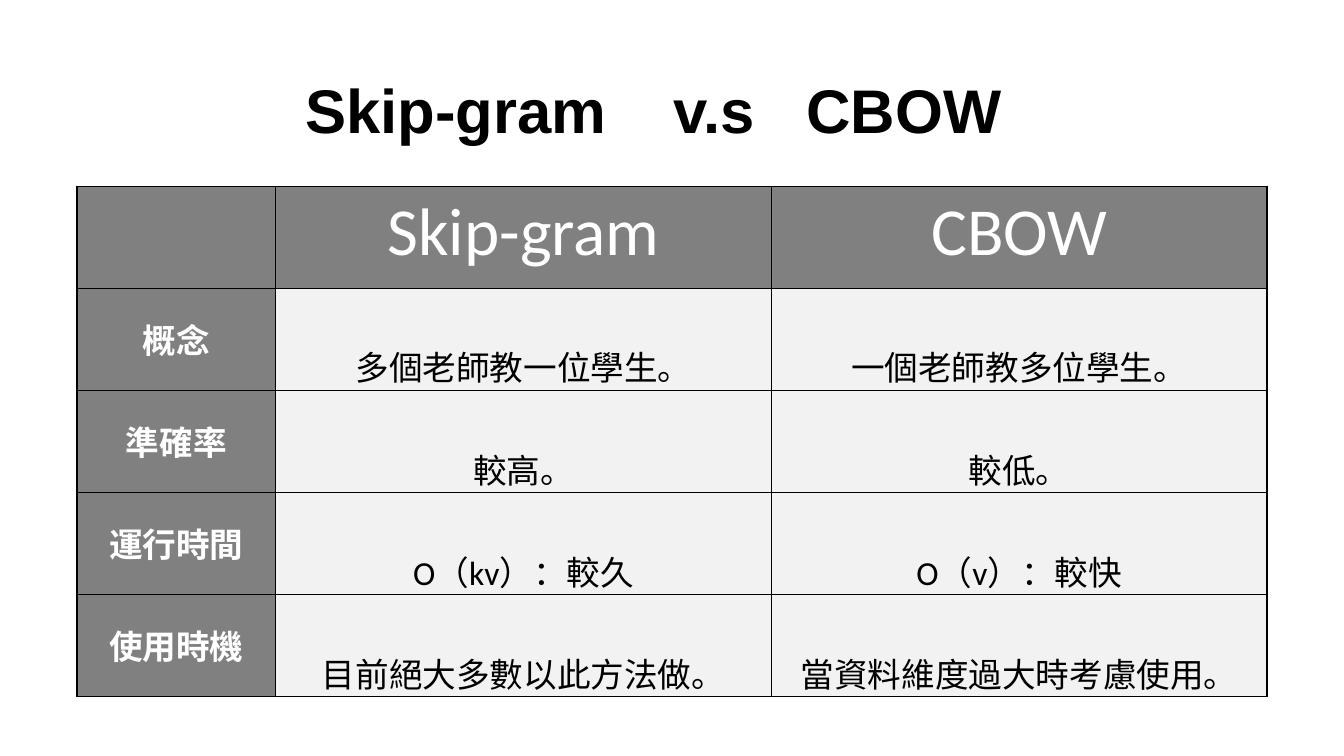
from lxml.etree import SubElement
from pptx import Presentation
from pptx.dml.color import RGBColor
from pptx.enum.text import MSO_ANCHOR, PP_ALIGN
from pptx.oxml.ns import qn
from pptx.util import Pt

COLORS = {"black": "000000", "white": "FFFFFF", "header": "808080", "body": "F2F2F2"}

HEADINGS = ["", "Skip-gram", "CBOW"]
COMPARISON = [
    ["概念", "多個老師教一位學生。", "一個老師教多位學生。"],
    ["準確率", "較高。", "較低。"],
    ["運行時間", "O（kv）：較久", "O（v）：較快"],
    ["使用時機", "目前絕大多數以此方法做。", "當資料維度過大時考慮使用。"],
]
COLUMN_WIDTHS = [142, 354, 354]
ROW_HEIGHT = 72.9
TITLE_STOPS = [145, 408, 503]


def add_run(paragraph, text, font, size, color, bold=False):
    run = paragraph.add_run()
    run.text = text
    run.font.name = font
    run.font.size = Pt(size)
    run.font.bold = bold
    run.font.color.rgb = RGBColor.from_string(COLORS[color])


def add_tab_stops(paragraph, positions):
    tab_list = SubElement(paragraph._p.get_or_add_pPr(), qn("a:tabLst"))
    for position in positions:
        SubElement(tab_list, qn("a:tab"), pos=str(Pt(position)), algn="l")


def add_title(slide, words):
    shape = slide.shapes.add_textbox(Pt(66), Pt(29), Pt(828), Pt(104))
    frame = shape.text_frame
    frame.word_wrap = True
    frame.vertical_anchor = MSO_ANCHOR.MIDDLE
    paragraph = frame.paragraphs[0]
    paragraph.line_spacing = 0.9
    add_tab_stops(paragraph, TITLE_STOPS)
    for word in words:
        add_run(paragraph, "\t" + word, "Arial", 44, "black", bold=True)


def set_borders(cell, color, width):
    properties = cell._tc.get_or_add_tcPr()
    for side in ("lnL", "lnR", "lnT", "lnB"):
        line = SubElement(properties, qn("a:" + side), w=str(Pt(width)))
        fill = SubElement(line, qn("a:solidFill"))
        SubElement(fill, qn("a:srgbClr"), val=COLORS[color])


def fill_cell(cell, text, fill, size, color, bold=False, spacing=1.0,
              anchor=MSO_ANCHOR.TOP):
    set_borders(cell, "black", 1)
    cell.fill.solid()
    cell.fill.fore_color.rgb = RGBColor.from_string(COLORS[fill])
    cell.vertical_anchor = anchor
    if text:
        paragraph = cell.text_frame.paragraphs[0]
        paragraph.alignment = PP_ALIGN.CENTER
        paragraph.line_spacing = spacing
        add_run(paragraph, text, "Calibri", size, color, bold)


def add_comparison_table(slide):
    row_count = len(COMPARISON) + 1
    table = slide.shapes.add_table(
        row_count, len(HEADINGS), Pt(55), Pt(133),
        Pt(sum(COLUMN_WIDTHS)), Pt(ROW_HEIGHT * row_count)).table
    table.first_row = False
    table.horz_banding = False
    for column, width in zip(table.columns, COLUMN_WIDTHS):
        column.width = Pt(width)
    for row in table.rows:
        row.height = Pt(ROW_HEIGHT)

    # Heading row
    for column_index, heading in enumerate(HEADINGS):
        fill_cell(table.cell(0, column_index), heading, "header", 48, "white")

    # Row labels and values
    for row_index, (label, *values) in enumerate(COMPARISON, start=1):
        fill_cell(table.cell(row_index, 0), label, "header", 24, "white",
                  bold=True, anchor=MSO_ANCHOR.MIDDLE)
        for column_index, value in enumerate(values, start=1):
            fill_cell(table.cell(row_index, column_index), value, "body", 24,
                      "black", spacing=2.0)


def main():
    presentation = Presentation()
    presentation.slide_width = Pt(960)
    presentation.slide_height = Pt(540)
    slide = presentation.slides.add_slide(presentation.slide_layouts[6])
    add_title(slide, ["Skip-gram", "v.s", "CBOW"])
    add_comparison_table(slide)
    presentation.save("out.pptx")


if __name__ == "__main__":
    main()
